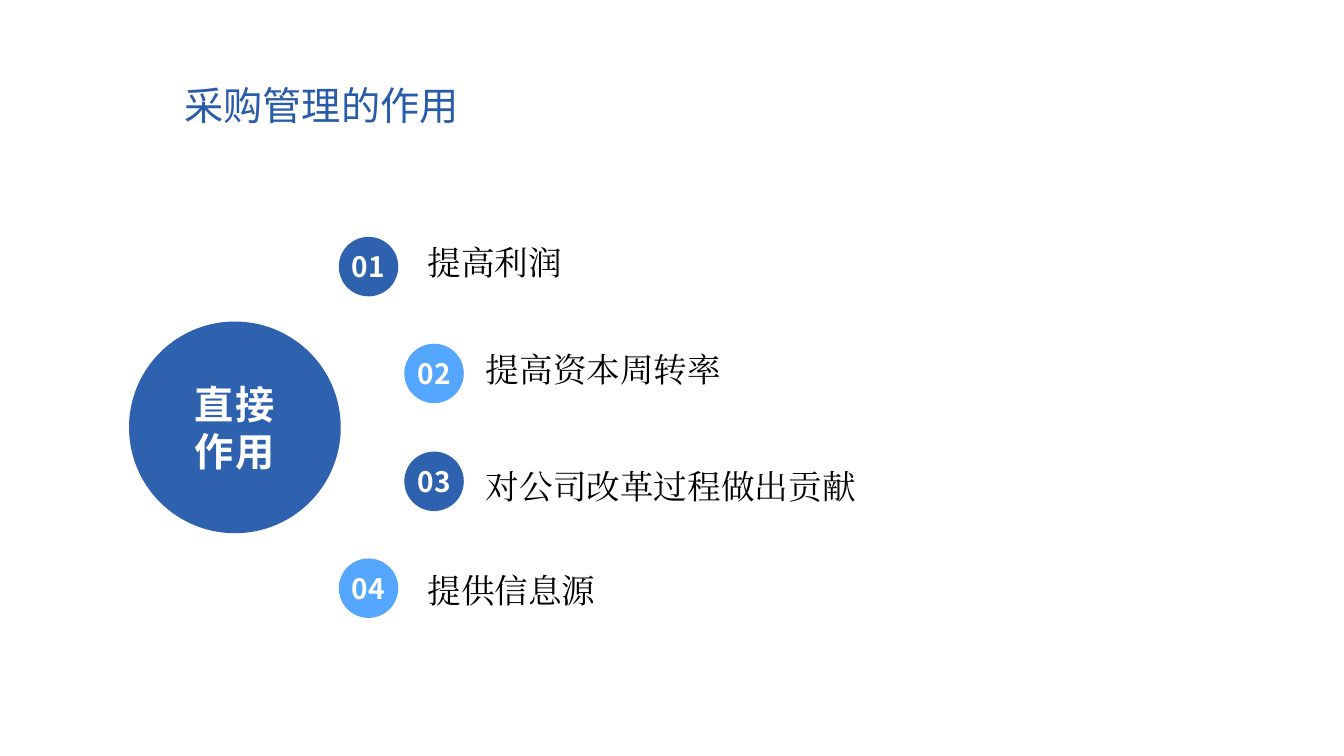
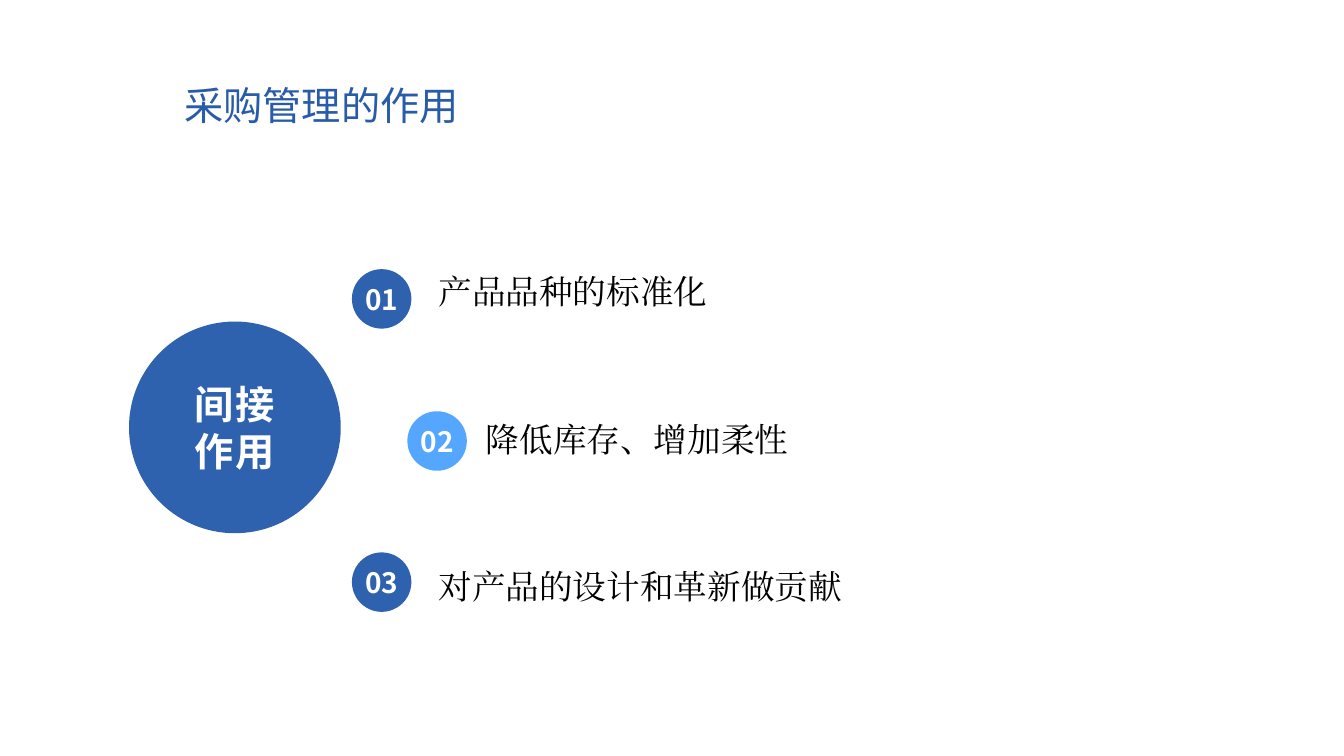
import lxml.etree
import pptx
import pptx.dml.color
import pptx.enum.shapes
import pptx.enum.text
import pptx.oxml.ns
import pptx.util

EMU_PER_PX = 9144
TITLE_BLUE, DEEP_BLUE, SKY_BLUE = "285CA9", "2F62AE", "54A6FF"
WHITE, BLACK = "FFFFFF", "000000"
TITLE_FONT, BADGE_FONT, ITEM_FONT = "Noto Sans CJK SC", "Noto Sans CJK JP", "Times New Roman"
BADGE_SIZE = 59
ALIGN = pptx.enum.text.PP_ALIGN

TITLE = "采购管理的作用"
TOPICS = [
    {
        "hub": ["直接", "作用"],
        "badge_tops": (235, 554),
        "items": [
            ("提高利润", 336, 424, 235),
            ("提高资本周转率", 401, 482, 342),
            ("对公司改革过程做出贡献", 401, 482, 458),
            ("提供信息源", 336, 424, 561),
        ],
    },
    {
        "hub": ["间接", "作用"],
        "badge_tops": (267, 548),
        "items": [
            ("产品品种的标准化", 349, 435, 264),
            ("降低库存、增加柔性", 404, 482, 411),
            ("对产品的设计和革新做贡献", 349, 435, 557),
        ],
    },
]


def px(*lengths):
    """Turn whole pixels into EMU lengths."""
    return [pptx.util.Emu(length * EMU_PER_PX) for length in lengths]


def rgb(color):
    """Turn a hex string into a colour."""
    return pptx.dml.color.RGBColor.from_string(color)


def write(frame, lines, size, face, color, align=ALIGN.LEFT, bold=False, spacing=0):
    """Fill a text frame with paragraphs of one style, centred vertically."""
    frame.vertical_anchor = pptx.enum.text.MSO_ANCHOR.MIDDLE
    frame.text = "\n".join(lines)
    for paragraph in frame.paragraphs:
        paragraph.alignment = align
        font = paragraph.font
        font.size, font.name, font.bold = pptx.util.Pt(size), face, bold
        font.color.rgb = rgb(color)
        properties = paragraph._p.pPr.find(pptx.oxml.ns.qn("a:defRPr"))
        east_asian = lxml.etree.SubElement(properties, pptx.oxml.ns.qn("a:ea"))
        east_asian.set("typeface", face)
        if spacing:
            properties.set("spc", str(spacing))


def clear_margins(frame):
    """Remove the inner margins of a text frame."""
    frame.margin_left = frame.margin_top = frame.margin_right = frame.margin_bottom = 0


def add_title(slide, text):
    """Place and style the title placeholder."""
    title = slide.shapes.title
    title.left, title.top, title.width, title.height = px(173, 72, 468, 64)
    title.text_frame.auto_size = pptx.enum.text.MSO_AUTO_SIZE.NONE
    write(title.text_frame, [text], 28, TITLE_FONT, TITLE_BLUE)


def add_circle(slide, left, top, diameter, color, lines, size, spacing=0):
    """Draw a filled circle with bold white text and return its text frame."""
    circle = slide.shapes.add_shape(
        pptx.enum.shapes.MSO_SHAPE.OVAL, *px(left, top, diameter, diameter)
    )
    circle.shadow.inherit = False
    circle.fill.solid()
    circle.fill.fore_color.rgb = rgb(color)
    circle.line.fill.background()
    write(circle.text_frame, lines, size, BADGE_FONT, WHITE, ALIGN.CENTER, True, spacing)
    return circle.text_frame


def add_item(slide, left, top, text):
    """Add the wording beside a numbered badge."""
    frame = slide.shapes.add_textbox(*px(left, top, 460, 49)).text_frame
    frame.word_wrap = True
    clear_margins(frame)
    write(frame, [text], 24, ITEM_FONT, BLACK)


def add_topic(slide, topic):
    """Draw the hub circle with evenly spaced numbered items around it."""
    clear_margins(add_circle(slide, 128, 319, 210, DEEP_BLUE, topic["hub"], 28, 150))
    first_top, last_top = topic["badge_tops"]
    step = (last_top - first_top) / (len(topic["items"]) - 1)
    for index, (text, badge_left, text_left, text_top) in enumerate(topic["items"]):
        badge_top = round(first_top + index * step)
        color = SKY_BLUE if index % 2 else DEEP_BLUE
        number = f"{index + 1:02d}"
        badge = add_circle(slide, badge_left, badge_top, BADGE_SIZE, color, [number], 20)
        badge.word_wrap = False
        add_item(slide, text_left, text_top, text)


def main():
    """Build and save the presentation."""
    deck = pptx.Presentation()
    deck.slide_width, deck.slide_height = px(1333, 750)
    title_only = deck.slide_layouts[5]
    for topic in TOPICS:
        slide = deck.slides.add_slide(title_only)
        add_title(slide, TITLE)
        add_topic(slide, topic)
    deck.save("out.pptx")


if __name__ == "__main__":
    main()
